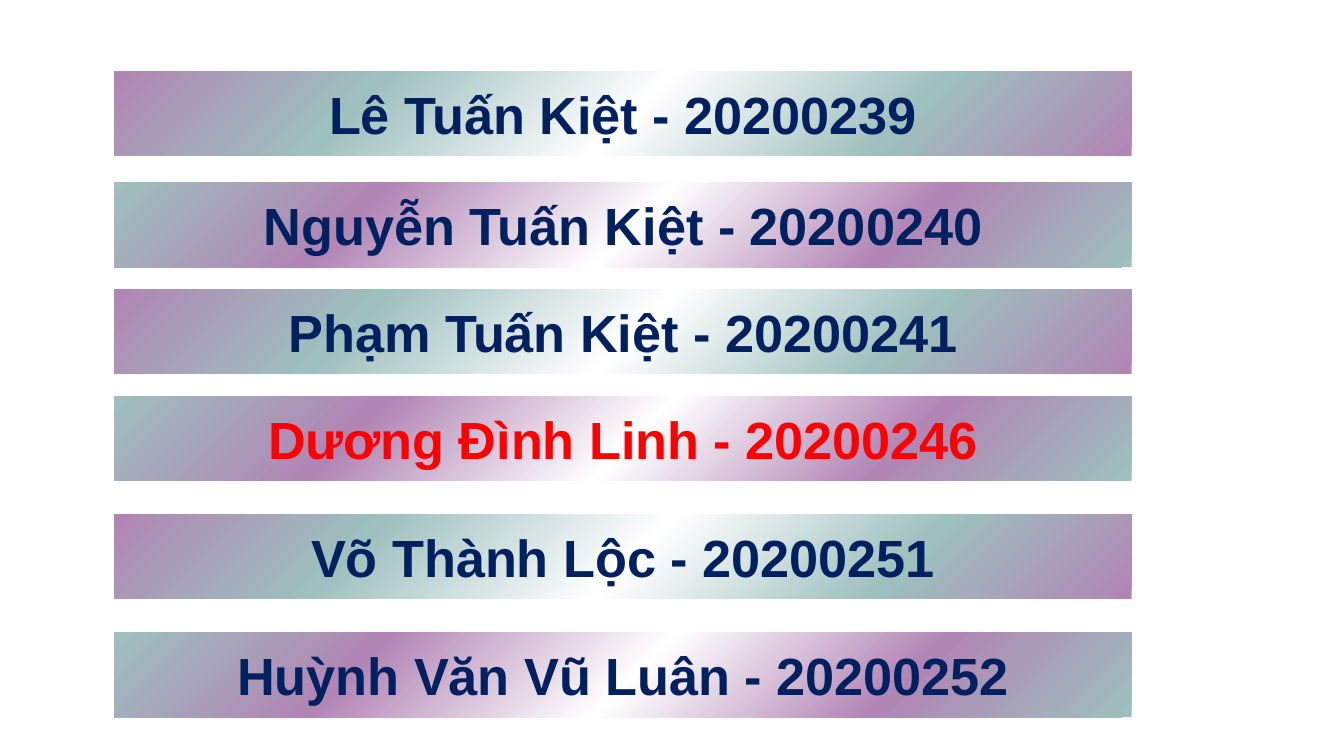
from dataclasses import dataclass

from lxml.etree import SubElement
from pptx import Presentation
from pptx.dml.color import RGBColor
from pptx.enum.shapes import MSO_AUTO_SHAPE_TYPE as ShapeType
from pptx.enum.text import MSO_ANCHOR as Anchor, PP_ALIGN as Align
from pptx.oxml.ns import qn
from pptx.slide import Slide
from pptx.util import Cm, Pt


@dataclass(frozen=True)
class Theme:
    mauve: str = "B185B4"
    sage: str = "9EC0BE"
    white: str = "FFFFFF"
    navy: str = "002060"
    red: str = "FF0000"
    font: str = "Arial"
    name_size: int = 28


@dataclass(frozen=True)
class Member:
    name: str
    number: int
    top: float
    color: str


THEME = Theme()
BAR_LEFT, BAR_WIDTH, BAR_HEIGHT = Cm(2.16), Cm(19.23), Cm(1.6)
STOP_POSITIONS = (0, 24, 49, 75, 100)
MEMBERS = (
    Member("Lê Tuấn Kiệt", 20200239, 1.35, THEME.navy),
    Member("Nguyễn Tuấn Kiệt", 20200240, 3.45, THEME.navy),
    Member("Phạm Tuấn Kiệt", 20200241, 5.47, THEME.navy),
    Member("Dương Đình Linh", 20200246, 7.49, THEME.red),
    Member("Võ Thành Lộc", 20200251, 9.72, THEME.navy),
    Member("Huỳnh Văn Vũ Luân", 20200252, 11.96, THEME.navy),
)


def apply_format(target: object, values: dict) -> None:
    for attribute, value in values.items():
        setattr(target, attribute, value)


def fill_with_mirrored_gradient(shape, outer: str, inner: str) -> None:
    shape.fill.gradient()
    shape.fill.gradient_angle = 135
    stops = shape.fill._xPr.find(f".//{qn('a:gsLst')}")
    for stop in list(stops):
        stops.remove(stop)
    colors = (outer, inner, THEME.white, inner, outer)
    for position, color in zip(STOP_POSITIONS, colors):
        stop = SubElement(stops, qn("a:gs"), pos=str(position * 1000))
        SubElement(stop, qn("a:srgbClr"), val=color)


def draw_member(slide: Slide, member: Member, outer: str, inner: str) -> None:
    shape = slide.shapes.add_shape(
        ShapeType.RECTANGLE, BAR_LEFT, Cm(member.top), BAR_WIDTH, BAR_HEIGHT
    )
    shape.shadow.inherit = False
    shape.line.fill.background()
    fill_with_mirrored_gradient(shape, outer, inner)

    frame = shape.text_frame
    margins = {f"margin_{side}": Cm(0.25) for side in ("left", "top", "right", "bottom")}
    apply_format(frame, {"word_wrap": True, "vertical_anchor": Anchor.MIDDLE, **margins})
    paragraph = frame.paragraphs[0]
    paragraph.alignment = Align.CENTER
    run = paragraph.add_run()
    run.text = f"{member.name} - {member.number}"
    apply_format(run.font, {"name": THEME.font, "size": Pt(THEME.name_size), "bold": True})
    run.font.color.rgb = RGBColor.from_string(member.color)


def main() -> None:
    presentation = Presentation()
    apply_format(presentation, {"slide_width": Cm(25.4), "slide_height": Cm(14.29)})
    slide = presentation.slides.add_slide(presentation.slide_layouts[6])
    for index, member in enumerate(MEMBERS):
        outer, inner = (THEME.sage, THEME.mauve) if index % 2 else (THEME.mauve, THEME.sage)
        draw_member(slide, member, outer, inner)
    presentation.save("out.pptx")


if __name__ == "__main__":
    main()
